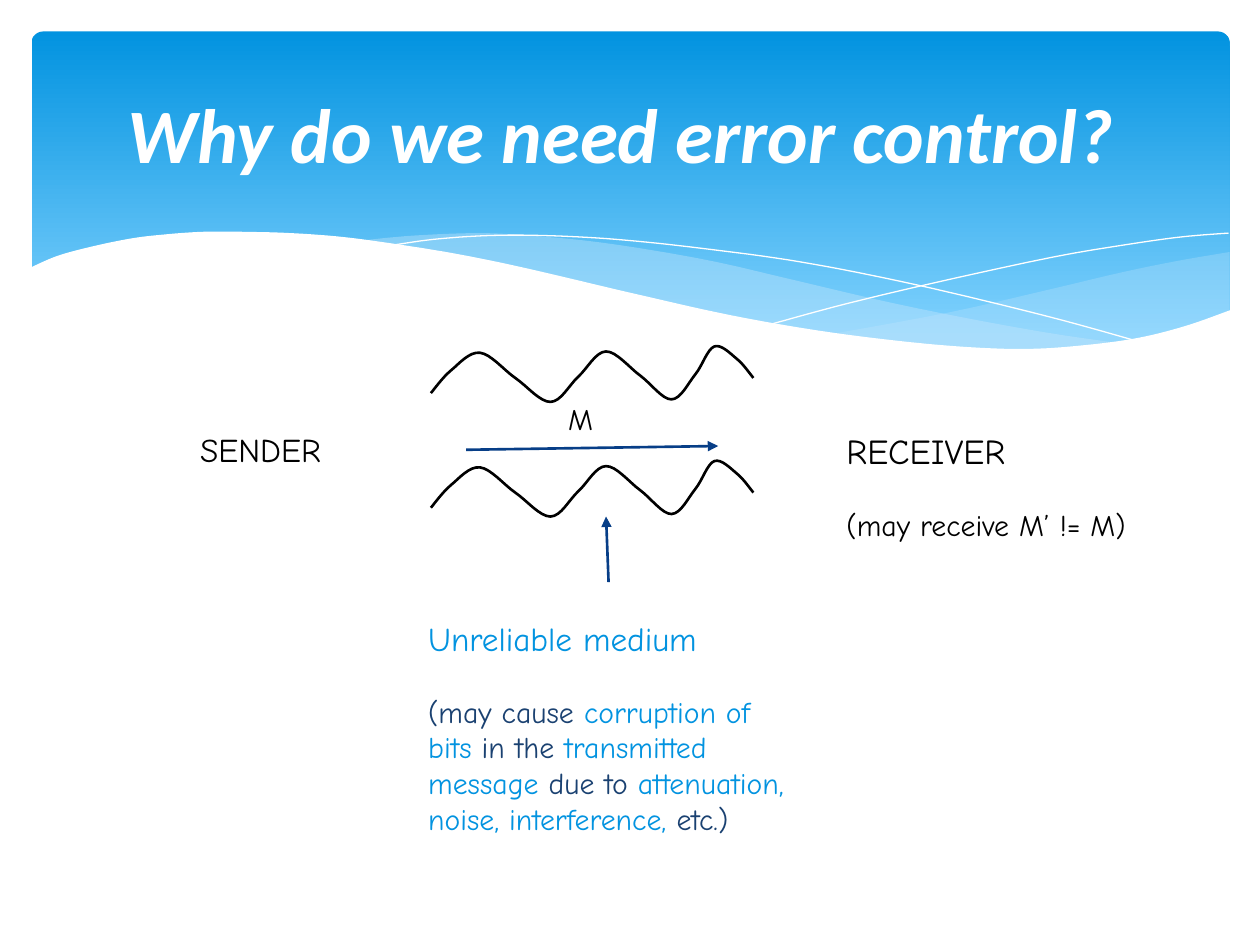
from lxml import etree
from pptx import Presentation
from pptx.dml.color import RGBColor
from pptx.enum.shapes import MSO_CONNECTOR as Connector, MSO_SHAPE as Shape
from pptx.enum.text import MSO_ANCHOR as Anchor, MSO_AUTO_SIZE as AutoSize, PP_ALIGN as Align
from pptx.oxml import parse_xml
from pptx.oxml.ns import nsdecls, qn
from pptx.util import Inches, Pt

COLORS = {
    "sky": "0293E0", "pale": "81D2FE", "mist": "C6E7FC", "white": "FFFFFF",
    "black": "000000", "arrow": "073E87", "navy": "1A4171",
}
RGB = {name: RGBColor.from_string(value) for name, value in COLORS.items()}
STEPS = 8


def smooth(points):
    """Return points along a Catmull-Rom curve through the given points."""
    padded = [points[0], *points, points[-1]]
    curve = [points[0]]
    for a, b, c, d in zip(padded, padded[1:], padded[2:], padded[3:]):
        for step in range(1, STEPS + 1):
            t = step / STEPS
            curve.append(tuple(
                (2 * q + (r - p) * t + (2 * p - 5 * q + 4 * r - s) * t**2
                 + (3 * q - p - 3 * r + s) * t**3) / 2
                for p, q, r, s in zip(a, b, c, d)))
    return curve


def add_outline(points, fill=None, opacity=None, line=None, width=0.75):
    """Draw a filled closed outline, or an open line when there is no fill."""
    corners = [(Inches(x), Inches(y)) for x, y in points]
    builder = slide.shapes.build_freeform(*corners[0])
    builder.add_line_segments(corners[1:], close=fill is not None)
    shape = builder.convert_to_shape()
    shape.shadow.inherit = False
    if fill:
        shape.fill.solid()
        shape.fill.fore_color.rgb = RGB[fill]
        if opacity:
            color = shape.fill._xPr.find(qn("a:solidFill"))[0]
            etree.SubElement(color, qn("a:alpha")).set("val", str(opacity * 1000))
    else:
        shape.fill.background()
    if line:
        shape.line.color.rgb = RGB[line]
        shape.line.width = Pt(width)
    else:
        shape.line.fill.background()


presentation = Presentation()
presentation.slide_width = Inches(10)
presentation.slide_height = Inches(7.5)
slide = presentation.slides.add_slide(presentation.slide_layouts[5])

# Header panel
panel = slide.shapes.add_shape(
    Shape.ROUNDED_RECTANGLE, Inches(0.25), Inches(0.25), Inches(9.51), Inches(2.7))
panel.adjustments[0] = 0.034
panel.shadow.inherit = False
panel.line.fill.background()
panel.fill.gradient()
panel.fill.gradient_angle = 270
for stop, name, position in zip(panel.fill.gradient_stops, ("sky", "pale"), (0, 0.9)):
    stop.color.rgb = RGB[name]
    stop.position = position

# Waves of the header
right_top = [(9.76, 2), (9.35, 2.07), (8.91, 2.16), (8.32, 2.3), (7.53, 2.48), (6.61, 2.65)]
right_bottom = [(6.61, 2.65), (7.05, 2.71), (7.57, 2.76), (8.03, 2.78), (8.54, 2.76),
                (9.05, 2.69), (9.35, 2.62), (9.76, 2.47)]
middle_top = [(8.93, 2.73), (8.37, 2.65), (7.75, 2.54), (7.06, 2.4), (6.29, 2.22), (5.69, 2.08),
              (5.14, 1.98), (4.65, 1.91), (4.2, 1.87), (3.8, 1.85), (3.28, 1.87), (2.86, 1.91)]
middle_bottom = [(2.86, 1.91), (3.42, 1.99), (4.04, 2.11), (4.91, 2.32), (5.66, 2.48),
                 (6.34, 2.61), (6.95, 2.7), (7.48, 2.76), (7.96, 2.78), (8.48, 2.77), (8.93, 2.73)]
falling_line = [(3.09, 1.95), (3.44, 1.9), (3.87, 1.87), (4.33, 1.87), (4.89, 1.9), (5.56, 1.97),
                (6.36, 2.08), (7.27, 2.26), (8.31, 2.51), (9.07, 2.72)]
rising_line = [(6.13, 2.57), (6.72, 2.41), (7.48, 2.23), (8.36, 2.04), (8.95, 1.94),
               (9.38, 1.88), (9.75, 1.85)]
white_edge = [(9.77, 2.46), (9.4, 2.59), (8.99, 2.69), (8.5, 2.75), (8.09, 2.77), (7.61, 2.75),
              (7.08, 2.7), (6.47, 2.62), (5.79, 2.5), (5.03, 2.33), (4.18, 2.13), (3.65, 2.02),
              (3.16, 1.94), (2.71, 1.88), (2.3, 1.85), (1.93, 1.84), (1.61, 1.84), (1.32, 1.86),
              (1.06, 1.89), (0.76, 1.95), (0.46, 2.03), (0.23, 2.13)]
add_outline(smooth(right_top) + smooth(right_bottom), fill="mist", opacity=28)
add_outline(smooth(middle_top) + smooth(middle_bottom), fill="mist", opacity=40)
add_outline(smooth(falling_line), line="white")
add_outline(smooth(rising_line), line="white")
add_outline(smooth(white_edge) + [(0.23, 3.29), (9.77, 3.29)], fill="white")

# Title, brought in front of the header
title = slide.shapes.title
slide.shapes._spTree.append(title._element)
title.left, title.top, title.width, title.height = (Inches(n) for n in (0.5, 0.37, 9, 1.37))
frame = title.text_frame
frame.text = "Why do we need error control? "
frame.vertical_anchor = Anchor.MIDDLE
frame.margin_left = frame.margin_right = frame.margin_top = frame.margin_bottom = Inches(0.05)
frame.paragraphs[0].alignment = Align.CENTER
run = frame.paragraphs[0].runs[0]
run.font.name, run.font.size = "Calibri", Pt(44)
run.font.bold = run.font.italic = True
run.font.color.rgb = RGB["white"]
run.font._element.find(qn("a:solidFill")).addnext(parse_xml(
    f'<a:effectLst {nsdecls("a")}><a:outerShdw blurRad="50800" dist="38100" dir="5400000">'
    '<a:srgbClr val="000000"><a:alpha val="50000"/></a:srgbClr></a:outerShdw></a:effectLst>'))

# Walls of the medium
wall = [(3.42, 3.12), (3.58, 2.94), (3.81, 2.8), (4.09, 3), (4.37, 3.19), (4.59, 2.99),
        (4.81, 2.79), (5.08, 2.98), (5.33, 3.17), (5.52, 2.97), (5.67, 2.75), (5.85, 2.85),
        (5.98, 3)]
for drop in (0, 0.91):
    add_outline(smooth([(x, y + drop) for x, y in wall]), line="black", width=1.5)

# Arrows
for ends in ((4.83, 4.62, 4.81, 4.1), (3.7, 3.57, 5.7, 3.54)):
    arrow = slide.shapes.add_connector(Connector.STRAIGHT, *(Inches(n) for n in ends))
    arrow.line.color.rgb = RGB["arrow"]
    arrow.line.width = Pt(1.5)
    etree.SubElement(arrow.line._get_or_add_ln(), qn("a:tailEnd")).set("type", "triangle")
    etree.SubElement(arrow._element.spPr, qn("a:effectLst"))

# Labels: box, then paragraphs of (size, [(text, color), ...])
explanation = [
    ("(may cause ", "navy"), ("corruption of bits", "sky"), (" in the ", "navy"),
    ("transmitted message ", "sky"), ("due to ", "navy"),
    ("attenuation, noise, interference,", "sky"), (" etc.)", "navy"),
]
labels = [
    ((3.3, 4.81, 3.03, 2.57), [(19, [("Unreliable medium", "sky")]), (17, explanation)]),
    ((4.41, 3.08, 0.52, 0.53), [(17, [("M", "black")])]),
    ((6.62, 3.31, 2.57, 1.26), [(20, [("RECEIVER", "black")]),
                                (17, [("(may receive M’ != M)", "black")])]),
    ((1.49, 3.31, 1.47, 0.57), [(19, [("SENDER", "black")])]),
]
for box, paragraphs in labels:
    frame = slide.shapes.add_textbox(*(Inches(n) for n in box)).text_frame
    frame.word_wrap = True
    frame.auto_size = AutoSize.SHAPE_TO_FIT_TEXT
    frame.margin_left = frame.margin_right = frame.margin_top = frame.margin_bottom = Inches(0.1)
    for index, (size, pieces) in enumerate(paragraphs):
        paragraph = frame.add_paragraph() if index else frame.paragraphs[0]
        paragraph.space_before = Pt(20 * index)
        for text, color in pieces:
            run = paragraph.add_run()
            run.text = text
            run.font.name, run.font.size = "Comic Neue", Pt(size)
            run.font.color.rgb = RGB[color]

presentation.save("out.pptx")
